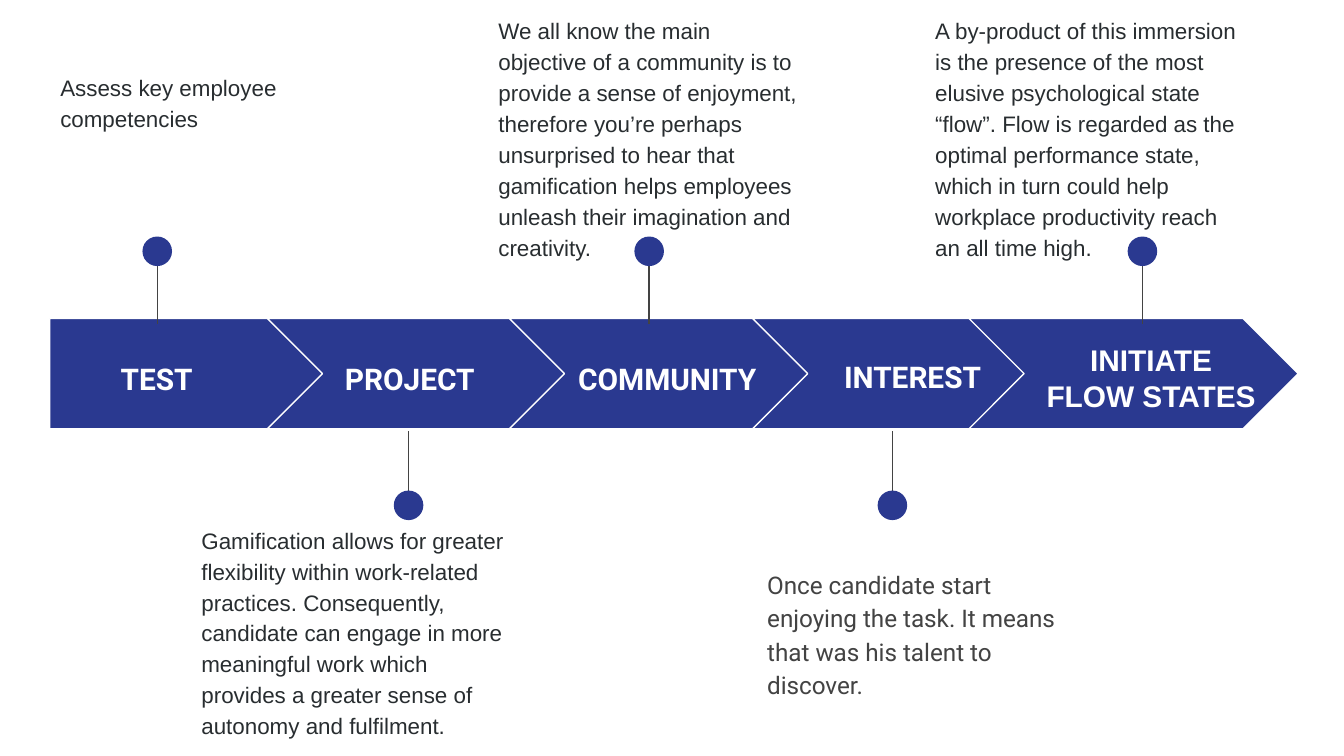
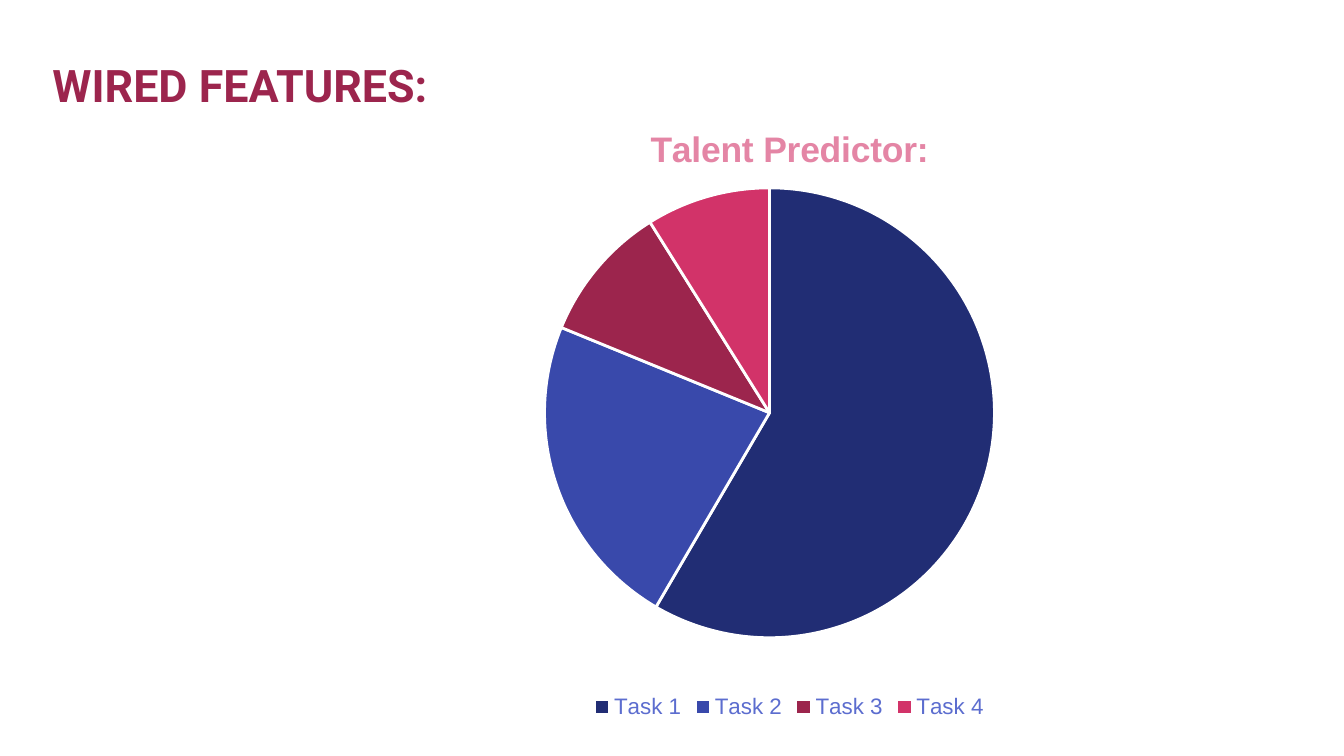
from lxml import etree
from pptx import Presentation
from pptx.chart.data import CategoryChartData
from pptx.dml.color import RGBColor
from pptx.enum import chart as charts, shapes, text
from pptx.oxml.ns import qn
from pptx.util import Inches, Pt

NAVY, WHITE, INK, GREY = "2A3990", "FFFFFF", "282D30", "434343"
WINE, ROSE, LILAC = "9C254D", "E485A5", "5C6DCF"

BAND_TOP, BAND_HEIGHT, DOT = 2.37, 0.82, 0.22
# pin side: (line start, line end, dot top)
PINS = {"above": (1.8, 2.41, 1.76), "below": (3.82, 3.21, 3.65)}
NOTE_SIZE = (2.45, 0.99)

# arrow: left, width; label_at: left, top, width, height; pin: x, side
STEPS = [
    dict(label="TEST", arrow=(0.37, 2.05), label_at=(0.37, 2.56, 1.59, 0.51),
         pin=(1.17, "above"), note_at=(0.35, 0.42),
         note="Assess key employee competencies"),
    dict(label="PROJECT", arrow=(1.99, 2.24), label_at=(2.33, 2.56, 1.44, 0.51),
         pin=(3.04, "below"), note_at=(1.4, 3.79),
         note="Gamification allows for greater flexibility within work-related "
              "practices. Consequently, candidate can engage in more meaningful work "
              "which provides a greater sense of autonomy and fulfilment."),
    dict(label="COMMUNITY", arrow=(3.79, 2.57), label_at=(4.12, 2.56, 1.69, 0.51),
         pin=(4.83, "above"), note_at=(3.61, 0),
         note="We all know the main objective of a community is to provide a sense "
              "of enjoyment, therefore you’re perhaps unsurprised to hear that "
              "gamification helps employees unleash their imagination and creativity."),
    dict(label="INTEREST", arrow=(5.6, 2.05), label_at=(6.07, 2.55, 1.44, 0.51),
         pin=(6.64, "below"), note_at=(5.61, 4.11), note_font=("Roboto", 13, GREY),
         note="Once candidate start enjoying the task. It means that was his "
              "talent to discover."),
    dict(label="INITIATE FLOW STATES", arrow=(7.21, 2.45),
         label_at=(7.66, 2.48, 1.81, 0.66), label_font="Arial",
         pin=(8.5, "above"), note_at=(6.86, 0),
         note="A by-product of this immersion is the presence of the most elusive "
              "psychological state “flow”. Flow is regarded as the optimal "
              "performance state, which in turn could help workplace productivity "
              "reach an all time high."),
]

TASKS = [("Task 1", 59, "212D74"), ("Task 2", 23, "3949AB"),
         ("Task 3", 10, WINE), ("Task 4", 9, "D23369")]
PLOT = dict(x=0.225, y=0.123, w=0.505, h=0.757)


def rgb(value):
    return RGBColor.from_string(value)


def style(font, name, size, color, bold=False):
    font.name, font.size, font.bold = name, Pt(size), bold
    font.color.rgb = rgb(color)


def write(frame, words, font, anchor, align=text.PP_ALIGN.LEFT):
    """Put one styled run in a wrapped frame and return its paragraph."""
    frame.word_wrap = True
    frame.auto_size = text.MSO_AUTO_SIZE.NONE
    frame.vertical_anchor = anchor
    frame.margin_left = frame.margin_right = Inches(0.1)
    frame.margin_top = frame.margin_bottom = Inches(0.1)
    para = frame.paragraphs[0]
    para.alignment = align
    span = para.add_run()
    span.text = words
    style(span.font, *font)
    return para


def add_box(page, at):
    return page.shapes.add_textbox(*map(Inches, at)).text_frame


def add_solid(page, kind, at, outline=None):
    shape = page.shapes.add_shape(kind, *map(Inches, at))
    shape.shadow.inherit = False
    shape.fill.solid()
    shape.fill.fore_color.rgb = rgb(NAVY)
    if outline:
        shape.line.color.rgb = rgb(outline)
        shape.line.width = Pt(0.75)
    else:
        shape.line.fill.background()


def add_pin(page, x, side):
    start, end, dot_top = PINS[side]
    line = page.shapes.add_connector(
        shapes.MSO_CONNECTOR.STRAIGHT, *map(Inches, (x, start, x, end)))
    line.line.color.rgb = rgb(GREY)
    line.line.width = Pt(0.75)
    etree.SubElement(line._element.spPr, qn("a:effectLst"))
    add_solid(page, shapes.MSO_SHAPE.OVAL, (x - DOT / 2, dot_top, DOT, DOT))


def build_steps(deck):
    page = deck.slides.add_slide(deck.slide_layouts[6])
    for index, step in enumerate(STEPS):
        left, width = step["arrow"]
        kind = shapes.MSO_SHAPE.CHEVRON if index else shapes.MSO_SHAPE.PENTAGON
        add_solid(page, kind, (left, BAND_TOP, width, BAND_HEIGHT), WHITE)
        write(add_box(page, step["label_at"]), step["label"],
              (step.get("label_font", "Roboto"), 16, WHITE, True),
              text.MSO_ANCHOR.MIDDLE, text.PP_ALIGN.CENTER)
        add_pin(page, *step["pin"])
        para = write(add_box(page, step["note_at"] + NOTE_SIZE), step["note"],
                     step.get("note_font", ("Arial", 12, INK)), text.MSO_ANCHOR.TOP)
        para.line_spacing = 1.15
        para.space_after = Pt(16)


def place_plot(chart):
    """Fix the inner plot area at the fractions in PLOT."""
    area = chart._chartSpace.chart.plotArea
    for old in area.findall(qn("c:layout")):
        area.remove(old)
    layout = etree.Element(qn("c:layout"))
    area.insert(0, layout)
    manual = etree.SubElement(layout, qn("c:manualLayout"))
    settings = [("layoutTarget", "inner"), ("xMode", "edge"), ("yMode", "edge")]
    for tag, value in settings + list(PLOT.items()):
        etree.SubElement(manual, qn("c:" + tag)).set("val", str(value))


def build_features(deck):
    page = deck.slides.add_slide(deck.slide_layouts[5])
    title = page.shapes.title
    title.left, title.top, title.width, title.height = map(
        Inches, (0.29, 0.38, 8.4, 0.5))
    write(title.text_frame, "WIRED FEATURES:", ("Roboto", 24, WINE, True),
          text.MSO_ANCHOR.MIDDLE)

    data = CategoryChartData()
    data.categories = [name for name, _, _ in TASKS]
    data.add_series("Series 1", [value for _, value, _ in TASKS])
    chart = page.shapes.add_chart(
        charts.XL_CHART_TYPE.PIE, *map(Inches, (2.56, 0.74, 6.63, 4.65)), data).chart
    style(chart.font, "Arial", 10, NAVY)
    chart.has_title = True
    span = chart.chart_title.text_frame.paragraphs[0].add_run()
    span.text = "Talent Predictor:"
    style(span.font, "Arial", 19, ROSE, True)
    chart.chart_title.include_in_layout = False
    chart.has_legend = True
    chart.legend.position = charts.XL_LEGEND_POSITION.BOTTOM
    chart.legend.include_in_layout = False
    style(chart.legend.font, "Arial", 12, LILAC)
    place_plot(chart)

    plot = chart.plots[0]
    plot.vary_by_categories = True
    for index, (_, _, color) in enumerate(TASKS):
        slice_format = plot.series[0].points[index].format
        slice_format.fill.solid()
        slice_format.fill.fore_color.rgb = rgb(color)
        slice_format.line.color.rgb = rgb(WHITE)
        slice_format.line.width = Pt(1.5)


def main():
    deck = Presentation()
    deck.slide_width = Inches(10)
    deck.slide_height = deck.slide_width * 9 // 16
    build_steps(deck)
    build_features(deck)
    deck.save("out.pptx")


if __name__ == "__main__":
    main()
